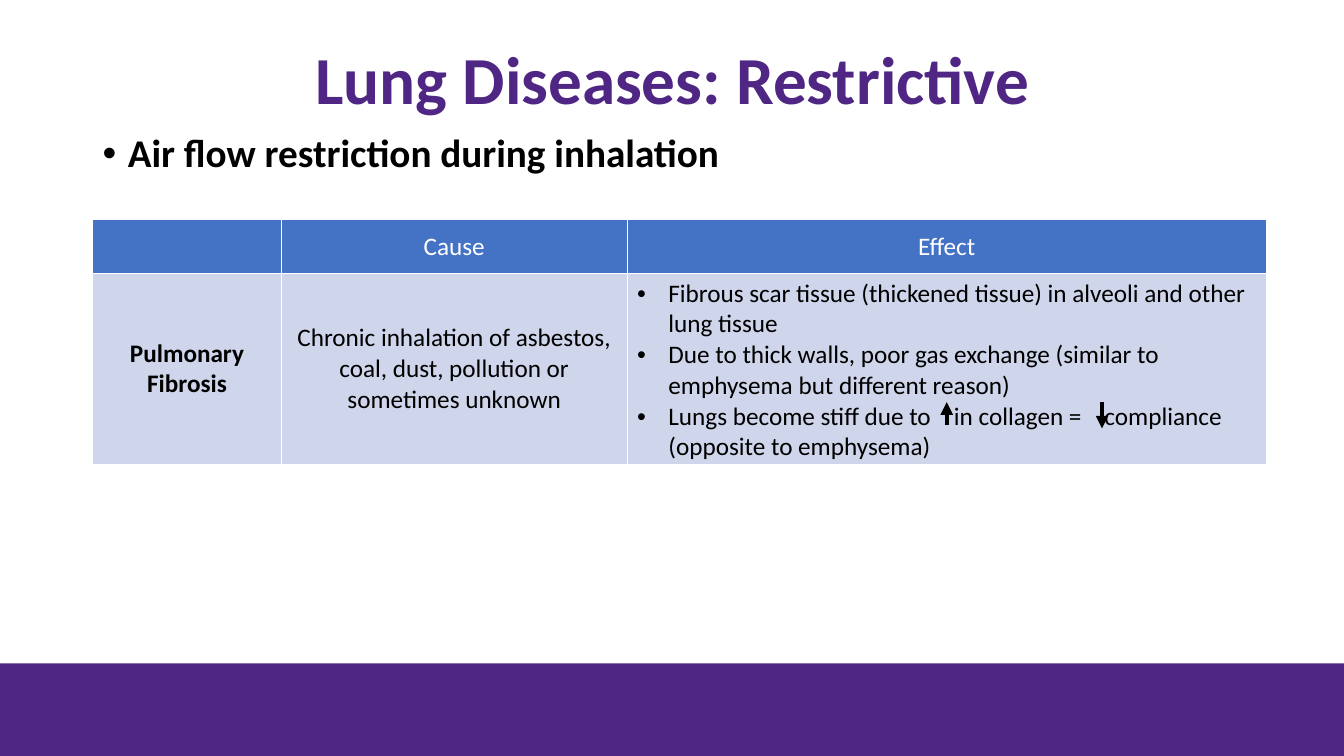
from dataclasses import dataclass

from pptx import Presentation
from pptx.dml.color import RGBColor
from pptx.enum.shapes import MSO_CONNECTOR as Link, MSO_SHAPE as Kind
from pptx.enum.text import MSO_ANCHOR as Anchor, MSO_AUTO_SIZE as Fit, PP_ALIGN as Align
from pptx.oxml.xmlchemy import OxmlElement as Element
from pptx.util import Inches, Pt

PURPLE, BLUE, PALE = "4F2683", "4472C4", "CFD5EA"
WHITE, BLACK = "FFFFFF", "000000"
GAP = 1220  # hundredths of a point added to a space that holds an arrow


@dataclass
class Cell:
    lines: list[list[str]]
    fill: str
    color: str = BLACK
    bold: bool = False
    bullet: bool = False


@dataclass
class Arrow:
    x: float
    start: float
    end: float


ROWS = [
    [Cell([[text]], BLUE, WHITE) for text in ("", "Cause", "Effect")],
    [
        Cell([["Pulmonary Fibrosis"]], PALE, bold=True),
        Cell([["Chronic inhalation of asbestos, coal, dust, pollution or "
               "sometimes unknown"]], PALE),
        Cell([
            ["Fibrous scar tissue (thickened tissue) in alveoli and other lung tissue"],
            ["Due to thick walls, poor gas exchange (similar to emphysema "
             "but different reason)"],
            ["Lungs become stiff due to", " ", "in collagen =", " ",
             "compliance (opposite to emphysema)"],
        ], PALE, bullet=True),
    ],
]
WIDTHS = [1.87, 3.43, 6.34]
HEIGHTS = [0.53, 1.9]
ARROWS = [Arrow(9.39, 4.22, 3.99), Arrow(10.93, 3.99, 4.25)]


def paint(target, color: str) -> None:
    """Give a fill a solid colour."""
    target.solid()
    target.fore_color.rgb = RGBColor.from_string(color)


def add_run(para, text: str, size: float, color: str, bold: bool):
    run = para.add_run()
    run.text = text
    style = {"name": "Calibri", "size": Pt(size), "bold": bold}
    for key, value in style.items():
        setattr(run.font, key, value)
    paint(run.font.fill, color)
    return run


def add_bullet(para, indent: float) -> None:
    props = para._p.get_or_add_pPr()
    props.set("marL", str(Inches(indent)))
    props.set("indent", str(-Inches(indent)))
    font, mark = Element("a:buFont"), Element("a:buChar")
    font.set("typeface", "Arial")
    mark.set("char", "•")
    props.extend([font, mark])


def add_border(cell) -> None:
    """Put a thin white line on each side; call before the fill is set."""
    props = cell._tc.get_or_add_tcPr()
    for side in ("lnL", "lnR", "lnT", "lnB"):
        line = Element(f"a:{side}")
        line.set("w", str(Pt(1)))
        fill, tint = Element("a:solidFill"), Element("a:srgbClr")
        tint.set("val", WHITE)
        fill.append(tint)
        line.append(fill)
        props.append(line)


def fill_cell(cell, data: Cell) -> None:
    add_border(cell)
    paint(cell.fill, data.fill)
    cell.vertical_anchor = Anchor.MIDDLE
    frame = cell.text_frame
    for i, parts in enumerate(data.lines):
        para = frame.add_paragraph() if i else frame.paragraphs[0]
        if data.bullet:
            add_bullet(para, 0.31)
        else:
            para.alignment = Align.CENTER
        for text in filter(None, parts):
            run = add_run(para, text, 18, data.color, data.bold)
            if text == " ":
                run._r.get_or_add_rPr().set("spc", str(GAP))


def add_grid(slide) -> None:
    table = slide.shapes.add_table(
        len(ROWS), len(WIDTHS), Inches(0.92), Inches(2.18),
        Inches(sum(WIDTHS)), Inches(sum(HEIGHTS))).table
    for col, width in zip(table.columns, WIDTHS):
        col.width = Inches(width)
    for r, (row, height) in enumerate(zip(ROWS, HEIGHTS)):
        table.rows[r].height = Inches(height)
        for c, data in enumerate(row):
            fill_cell(table.cell(r, c), data)


def add_arrow(slide, arrow: Arrow) -> None:
    line = slide.shapes.add_connector(
        Link.STRAIGHT, Inches(arrow.x), Inches(arrow.start),
        Inches(arrow.x), Inches(arrow.end))
    line.line.width = Pt(3)
    paint(line.line.fill, BLACK)
    tip = Element("a:tailEnd")
    tip.set("type", "triangle")
    line.line._get_or_add_ln().append(tip)
    line._element.spPr.append(Element("a:effectLst"))


def set_title(slide) -> None:
    title = slide.shapes.title
    box = {"left": 0.92, "top": 0.22, "width": 11.5, "height": 1.2}
    for key, value in box.items():
        setattr(title, key, Inches(value))
    frame = title.text_frame
    frame.auto_size = Fit.NONE
    frame.vertical_anchor = Anchor.MIDDLE
    para = frame.paragraphs[0]
    para.alignment = Align.CENTER
    para.line_spacing = 0.9
    add_run(para, "Lung Diseases: Restrictive", 48, PURPLE, True)


def add_point(slide) -> None:
    frame = slide.shapes.add_textbox(
        Inches(0.92), Inches(1.28), Inches(11.5), Inches(0.6)).text_frame
    frame.word_wrap = True
    para = frame.paragraphs[0]
    add_bullet(para, 0.25)
    para.line_spacing = 0.9
    add_run(para, "Air flow restriction during inhalation", 28, BLACK, True)


def add_band(slide) -> None:
    band = slide.shapes.add_shape(
        Kind.RECTANGLE, 0, Inches(6.58), Inches(13.33), Inches(0.92))
    band.shadow.inherit = False
    paint(band.fill, PURPLE)
    band.line.fill.background()


def main() -> None:
    deck = Presentation()
    deck.slide_width, deck.slide_height = Inches(13.33), Inches(7.5)
    slide = deck.slides.add_slide(deck.slide_layouts[5])
    set_title(slide)
    add_point(slide)
    add_band(slide)
    add_grid(slide)
    for arrow in ARROWS:
        add_arrow(slide, arrow)
    deck.save("out.pptx")


if __name__ == "__main__":
    main()
